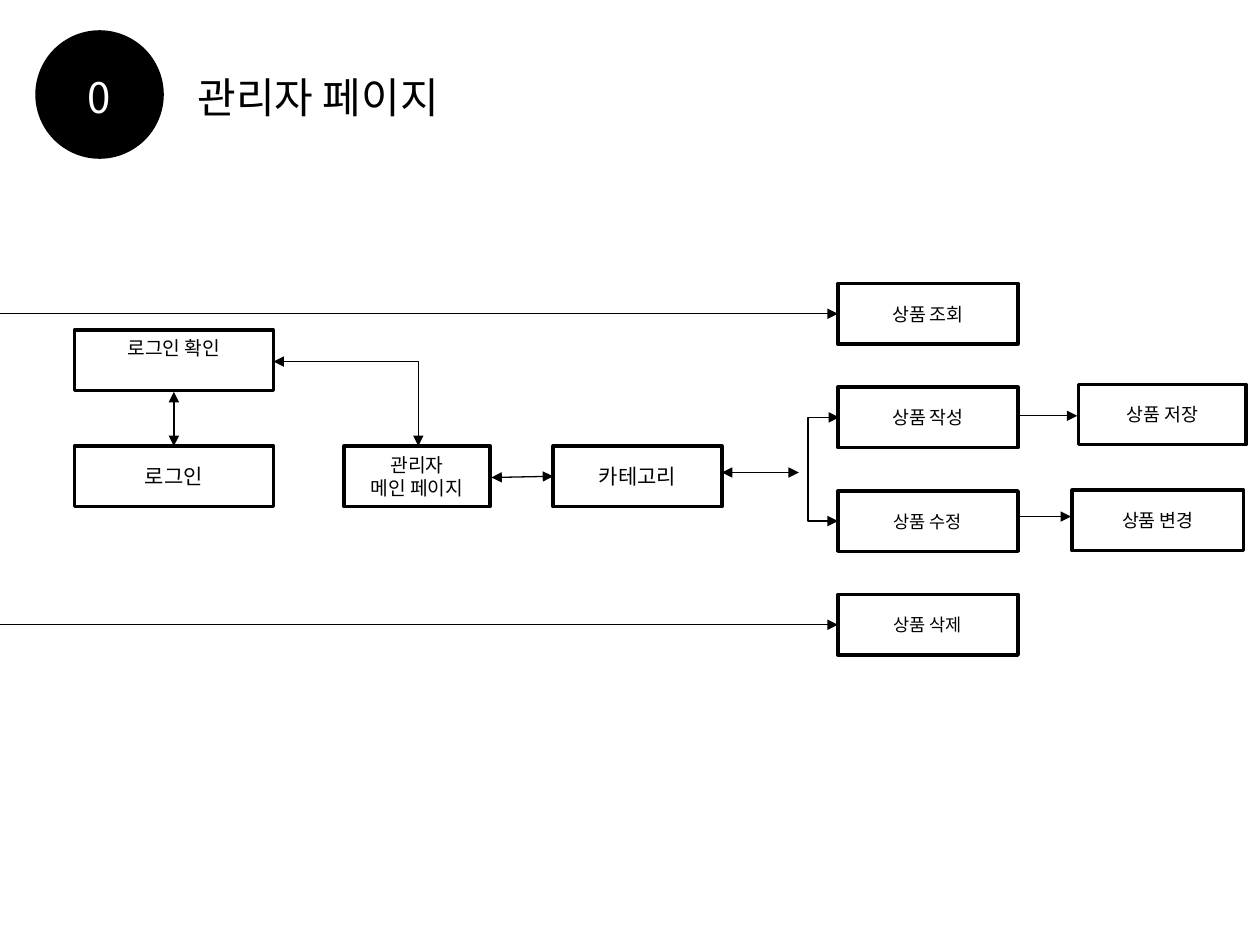
from lxml import etree
from pptx import Presentation
from pptx.dml.color import RGBColor
from pptx.enum.shapes import MSO_CONNECTOR, MSO_SHAPE
from pptx.enum.text import MSO_ANCHOR, PP_ALIGN
from pptx.oxml.ns import qn
from pptx.util import Inches, Pt

RECT, OVAL = MSO_SHAPE.RECTANGLE, MSO_SHAPE.OVAL
LINE, ELBOW = MSO_CONNECTOR.STRAIGHT, MSO_CONNECTOR.ELBOW
TOP, MIDDLE = MSO_ANCHOR.TOP, MSO_ANCHOR.MIDDLE
CENTER = PP_ALIGN.CENTER

COLORS = {"ink": "000000", "paper": "FFFFFF"}
FONT = "Noto Sans CJK KR"
COLS, ROWS = 100, 75
BOX_H = 4.8


class Board:
    """Holds the style and the current slide."""

    def __init__(self, deck):
        """Add a blank slide and work out the grid unit."""
        self.slide = deck.slides.add_slide(deck.slide_layouts[6])
        self.shapes = self.slide.shapes
        self.unit_x = deck.slide_width / COLS
        self.unit_y = deck.slide_height / ROWS

    def place(self, col, row):
        """Turn grid columns and rows into slide lengths."""
        return round(col * self.unit_x), round(row * self.unit_y)

    def color(self, name):
        """Look up a colour by name."""
        return RGBColor.from_string(COLORS[name])

    def letter(self, shape, text, size, color="ink", anchor=MIDDLE):
        """Put centred text into a shape."""
        frame = shape.text_frame
        frame.text = text
        frame.word_wrap = True
        frame.vertical_anchor = anchor
        for par in frame.paragraphs:
            par.alignment = CENTER
            if len(frame.paragraphs) > 1:
                par.line_spacing = Pt(size * 1.2)
            for run in par.runs:
                run.font.size = Pt(size)
                run.font.name = FONT
                run.font.color.rgb = self.color(color)
                face = etree.SubElement(run.font._element, qn("a:ea"))
                face.set("typeface", FONT)

    def label(self, col, row, width, height, text, size, color="ink"):
        """Add a plain text box."""
        box = self.shapes.add_textbox(*self.place(col, row), *self.place(width, height))
        self.letter(box, text, size, color)

    def disc(self, col, row, width):
        """Add a filled circle."""
        disc = self.shapes.add_shape(OVAL, *self.place(col, row), *self.place(width, width))
        disc.shadow.inherit = False
        disc.fill.solid()
        disc.fill.fore_color.rgb = self.color("ink")
        disc.line.fill.background()

    def box(self, col, row, width, text, size, anchor=MIDDLE):
        """Add an outlined page box."""
        box = self.shapes.add_shape(RECT, *self.place(col, row), *self.place(width, BOX_H))
        box.shadow.inherit = False
        box.fill.solid()
        box.fill.fore_color.rgb = self.color("paper")
        box.line.color.rgb = self.color("ink")
        box.line.width = Pt(2)
        self.letter(box, text, size, anchor=anchor)

    def arrow(self, start, end, both=False, kind=LINE):
        """Add an arrow with a head at its end, or at both ends."""
        arrow = self.shapes.add_connector(kind, *self.place(*start), *self.place(*end))
        arrow.line.color.rgb = self.color("ink")
        arrow.line.width = Pt(0.75)
        pen = arrow.line._get_or_add_ln()
        for tag in ("a:headEnd", "a:tailEnd") if both else ("a:tailEnd",):
            etree.SubElement(pen, qn(tag)).set("type", "triangle")
        etree.SubElement(arrow._element.spPr, qn("a:effectLst"))
        return arrow

    def corner(self, start, end):
        """Add a two-headed arrow with one bend."""
        arrow = self.arrow(start, end, True, ELBOW)
        arrow._element.spPr.find(qn("a:prstGeom")).set("prst", "bentConnector2")

    def fork(self, col, top, low, depth):
        """Add a two-headed bracket that opens to the right."""
        width = 0.1
        arrow = self.arrow((col, top), (col + width, low), True, ELBOW)
        props = arrow._element.spPr
        frame = props.find(qn("a:xfrm"))
        frame.set("rot", "10800000")
        frame.set("flipV", "1")
        guides = props.find(qn("a:prstGeom")).get_or_add_avLst()
        guide = etree.SubElement(guides, qn("a:gd"))
        guide.set("name", "adj1")
        guide.set("fmla", f"val {round(depth / width * 100000)}")


def main():
    """Build the page flow."""
    deck = Presentation()
    deck.slide_width, deck.slide_height = Inches(10), Inches(7.5)
    board = Board(deck)

    board.disc(2.8, 2.4, 10.2)
    board.label(2, 5.2, 11.8, 5, "0", 24, "paper")
    board.label(11.5, 5.2, 27.5, 5, "관리자 페이지", 24)

    main_row = 35.4
    board.box(5.9, main_row, 15.8, "로그인", 12)
    board.box(5.9, 26.2, 15.8, "로그인 확인", 11, TOP)
    board.box(27.3, main_row, 11.6, "관리자\n메인 페이지", 11)
    board.box(43.9, main_row, 13.4, "카테고리", 12)

    tasks = [("상품 조회", 10.5), ("상품 작성", 10.5), ("상품 수정", 10), ("상품 삭제", 10)]
    mids = [24.9 + 8.23 * i for i in range(len(tasks))]
    for (text, size), mid in zip(tasks, mids):
        board.box(66.5, mid - BOX_H / 2, 14.3, text, size)
    board.box(85.6, 30.5, 13.3, "상품 저장", 10.5)
    board.box(85.1, 38.9, 13.6, "상품 변경", 10.5)

    board.arrow((13.8, main_row), (13.8, 31.1), True)
    board.corner((21.7, 28.7), (33.2, main_row))
    board.arrow((43.9, 37.8), (39, 37.9), True)
    board.arrow((63.4, 37.5), (57.3, 37.5), True)
    board.fork(66.5, mids[1], mids[2], 2.5)
    for mid in (mids[0], mids[-1]):
        board.arrow((0, mid), (66.5, mid))
    for row, end in ((33, 85.5), (41, 85)):
        board.arrow((80.8, row), (end, row))

    deck.save("out.pptx")


main()
